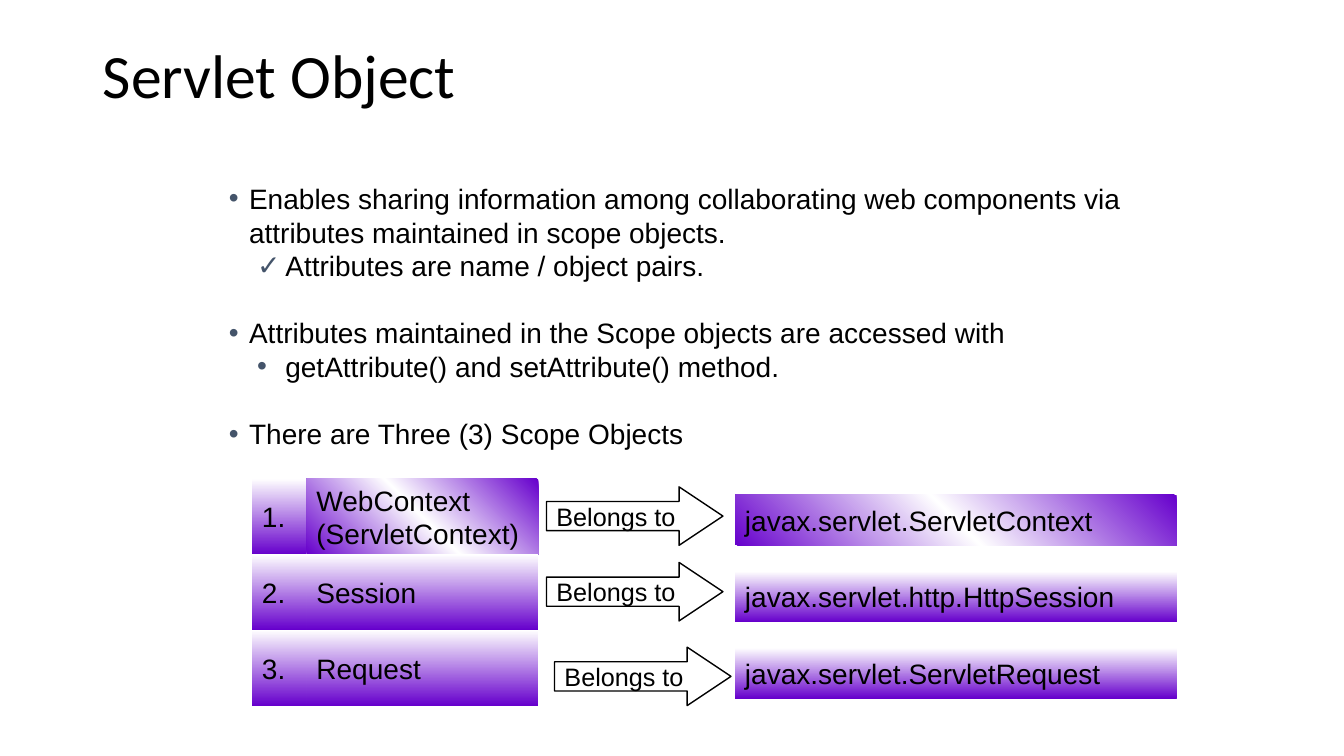
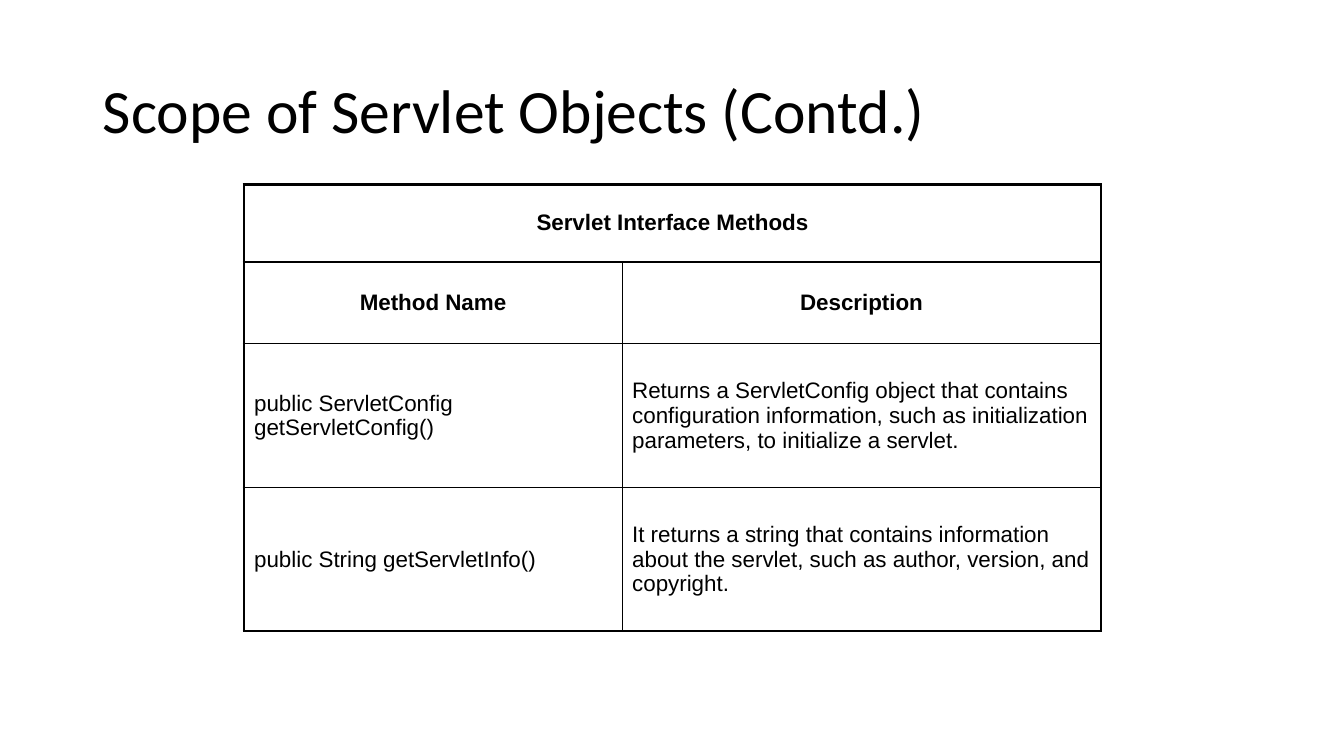
import copy
from dataclasses import dataclass

import pptx
import pptx.util
import pptx.dml.color
import pptx.enum.shapes
import pptx.enum.text
import pptx.oxml
import pptx.oxml.ns

Inches = pptx.util.Inches
Pt = pptx.util.Pt
Anchor = pptx.enum.text.MSO_ANCHOR
Align = pptx.enum.text.PP_ALIGN
Shape = pptx.enum.shapes.MSO_SHAPE
qn = pptx.oxml.ns.qn


@dataclass(frozen=True)
class Theme:
    ink: str = "000000"
    white: str = "FFFFFF"
    purple: str = "6600CC"
    bullet: str = "44546A"
    shade: str = "5B5B9E"
    head: str = "Calibri"
    text: str = "Arial"
    title: int = 44
    body: int = 20
    label: int = 18
    cell: int = 16


THEME = Theme()
TITLE_BOX = (0.92, 0.4, 11.5, 1.45)

# Text, level, mark, space before in points
POINTS = [
    ("Enables sharing information among collaborating web components via "
     "attributes maintained in scope objects.", 0, "•", 0),
    ("Attributes are name / object pairs.", 1, "✓", 0),
    ("Attributes maintained in the Scope objects are accessed with", 0, "•", 24),
    ("getAttribute() and setAttribute() method.", 1, "•", 0),
    ("There are Three (3) Scope Objects", 0, "•", 24),
]
# Text inset and hanging indent of each level
INDENTS = [(0.2, 0.2), (0.56, 0.28)]

# Scope, owner class, arrow offset within the row
SCOPES = [
    (["WebContext", "(ServletContext)"], "javax.servlet.ServletContext", (2.92, 0.08)),
    (["Session"], "javax.servlet.http.HttpSession", (2.92, 0.08)),
    (["Request"], "javax.servlet.ServletRequest", (3, 0.17)),
]

METHODS = [
    ("Servlet Interface Methods", ""),
    ("Method Name", "Description"),
    ("public ServletConfig getServletConfig()",
     "Returns a ServletConfig object that contains configuration information, "
     "such as initialization parameters, to initialize a servlet."),
    ("public String getServletInfo()",
     "It returns a string that contains information about the servlet, "
     "such as author, version, and copyright."),
]


def rgb(color):
    return pptx.dml.color.RGBColor.from_string(color)


def xml(text):
    start, rest = text.split(" ", 1)
    space = "http://schemas.openxmlformats.org/drawingml/2006/main"
    return pptx.oxml.parse_xml(f'{start} xmlns:a="{space}" {rest}')


def style(para, size, face=THEME.text, bold=False):
    font = para.font
    font.name, font.size, font.bold = face, Pt(size), bold
    font.color.rgb = rgb(THEME.ink)


def place(shape, box):
    shape.left, shape.top, shape.width, shape.height = map(Inches, box)


def set_title(slide, text, anchor, shadow=False):
    title = slide.shapes.title
    place(title, TITLE_BOX)
    title.text = text
    title.text_frame.vertical_anchor = anchor
    title.text_frame.auto_size = pptx.enum.text.MSO_AUTO_SIZE.NONE
    para = title.text_frame.paragraphs[0]
    para.alignment = Align.LEFT
    para.line_spacing = 0.9
    style(para, THEME.title, THEME.head)
    if shadow:
        props = para.runs[0].font.fill._xPr
        props.append(xml(
            '<a:effectLst ><a:outerShdw dist="25400" dir="2700000">'
            f'<a:srgbClr val="{THEME.shade}"/></a:outerShdw></a:effectLst>'))


def add_mark(para, mark, level):
    inset, hang = INDENTS[level]
    props = para._p.get_or_add_pPr()
    props.set("marL", str(Inches(inset)))
    props.set("indent", str(-Inches(hang)))
    for part in (f'<a:buClr ><a:srgbClr val="{THEME.bullet}"/></a:buClr>',
                 f'<a:buFont typeface="{THEME.text}"/>',
                 f'<a:buChar char="{mark}"/>'):
        props.append(xml(part))


def fill_list(body, box):
    place(body, box)
    frame = body.text_frame
    frame.auto_size = pptx.enum.text.MSO_AUTO_SIZE.NONE
    frame.vertical_anchor = Anchor.TOP
    frame.text = "\n".join(point[0] for point in POINTS)
    for para, (_, level, mark, gap) in zip(frame.paragraphs, POINTS):
        para.level = level
        para.space_before = Pt(gap)
        add_mark(para, mark, level)
        style(para, THEME.body)


def add_box(slide, box, lines, size, kind=Shape.RECTANGLE):
    shape = slide.shapes.add_shape(kind, *map(Inches, box))
    shape.shadow.inherit = False
    shape.fill.background()
    shape.line.fill.background()
    frame = shape.text_frame
    frame.word_wrap = False
    frame.vertical_anchor = Anchor.MIDDLE
    frame.text = "\n".join(lines)
    for para in frame.paragraphs:
        para.alignment = Align.LEFT
        style(para, size)
    return shape


def add_band(slide, box, lines, glossy=False):
    """Add a gradient box; a glossy one has a diagonal white streak."""
    shape = add_box(slide, box, lines, THEME.body)
    fill = shape.fill
    fill.gradient()
    colors = [THEME.white, THEME.purple]
    if glossy:
        colors = [THEME.purple, THEME.white, THEME.purple]
        stops = shape.element.spPr.find(".//" + qn("a:gsLst"))
        stops.insert(1, copy.deepcopy(stops[0]))
    fill.gradient_angle = 45 if glossy else 270
    for i, (stop, color) in enumerate(zip(fill.gradient_stops, colors)):
        stop.color.rgb = rgb(color)
        stop.position = i / (len(colors) - 1)


def add_arrow(slide, left, top):
    arrow = add_box(slide, (left, top, 1.75, 0.58), ["Belongs to"],
                    THEME.label, Shape.RIGHT_ARROW)
    arrow.adjustments[0] = 0.5
    arrow.adjustments[1] = 0.75
    arrow.line.color.rgb = rgb(THEME.ink)
    arrow.line.width = Pt(1)


def add_scopes(slide, left, top, pitch):
    for i, (names, owner, (shift, drop)) in enumerate(SCOPES):
        y = top + i * pitch
        glossy = i == 0
        add_band(slide, (left + 0.54, y, 2.3, pitch), names, glossy)
        add_band(slide, (left, y, 0.54, pitch), [f"{i + 1}."])
        add_band(slide, (left + 4.79, top + 0.16 + i * 0.76, 4.38, 0.5), [owner], glossy)
        add_arrow(slide, left + shift, y + drop)


def set_edges(cell, widths):
    """Draw left, right, top and bottom borders of the given widths."""
    props = cell._tc.get_or_add_tcPr()
    for i, (side, width) in enumerate(zip("LRTB", widths)):
        props.insert(i, xml(
            f'<a:ln{side} w="{Pt(width)}"><a:solidFill><a:srgbClr val="{THEME.ink}"/>'
            f'</a:solidFill></a:ln{side}>'))


def add_methods(slide, left, top, cols, rows):
    box = map(Inches, (left, top, sum(cols), sum(rows)))
    table = slide.shapes.add_table(len(rows), len(cols), *box).table
    table.first_row = table.horz_banding = False
    for col, width in zip(table.columns, cols):
        col.width = Inches(width)
    for row, height in zip(table.rows, rows):
        row.height = Inches(height)
    table.cell(0, 0).merge(table.cell(0, 1))
    for r, texts in enumerate(METHODS):
        for c, text in enumerate(texts):
            cell = table.cell(r, c)
            cell.fill.background()
            cell.vertical_anchor = Anchor.MIDDLE
            outer = (c == 0, c == 1 or r == 0, r == 0, r == len(rows) - 1)
            set_edges(cell, [2.25 if edge else 1 for edge in outer])
            if cell.is_spanned:
                continue
            cell.text = text
            para = cell.text_frame.paragraphs[0]
            para.alignment = Align.CENTER if r < 2 else Align.LEFT
            style(para, THEME.cell, bold=r < 2)


def build_scopes(deck):
    slide = deck.slides.add_slide(deck.slide_layouts[1])
    set_title(slide, "Servlet Object", Anchor.TOP)
    fill_list(slide.placeholders[1], (2.17, 1.75, 9.25, 2.92))
    add_scopes(slide, 2.5, 4.75, 0.75)


def build_methods(deck):
    slide = deck.slides.add_slide(deck.slide_layouts[5])
    set_title(slide, "Scope of Servlet Objects (Contd.)", Anchor.MIDDLE, shadow=True)
    add_methods(slide, 2.42, 1.83, (3.75, 4.75), (0.77, 0.81, 1.43, 1.42))


def main():
    deck = pptx.Presentation()
    deck.slide_width, deck.slide_height = Inches(13.33), Inches(7.5)
    build_scopes(deck)
    build_methods(deck)
    deck.save("out.pptx")


if __name__ == "__main__":
    main()
